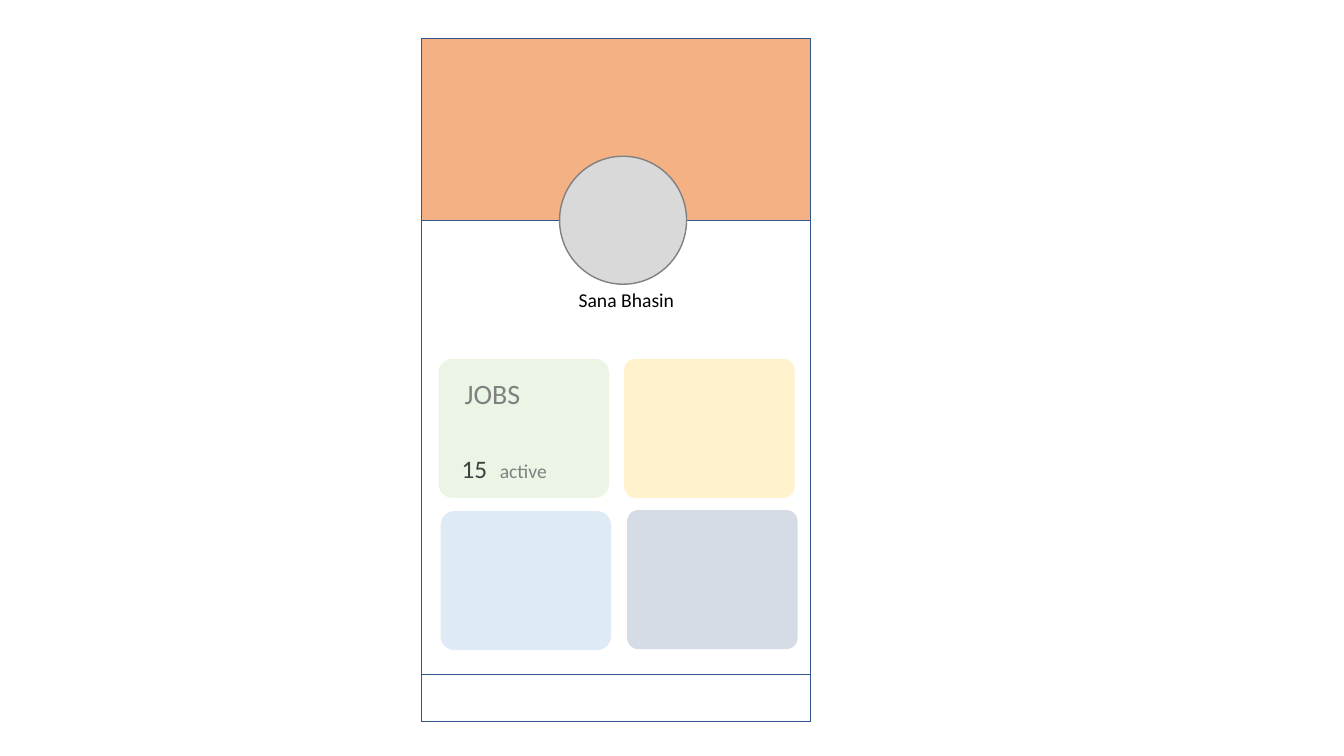
import dataclasses
import typing

import lxml.etree
import pptx
import pptx.dml.color
import pptx.enum.shapes
import pptx.enum.text
import pptx.oxml.ns
import pptx.util

Inches = pptx.util.Inches
Kind = pptx.enum.shapes.MSO_SHAPE


@dataclasses.dataclass(frozen=True)
class Theme:
    font: str = "Calibri"
    edge: str = "325491"
    banner: str = "F4B183"
    photo: str = "D9D9D9"
    gray: str = "808080"
    black: str = "000000"
    dark: str = "404040"
    green: str = "E2F0D9"
    yellow: str = "FFF2CC"
    blue: str = "DEEBF7"
    slate: str = "D6DCE5"
    small: int = 14
    count: int = 18
    title: int = 20
    stroke: int = 1


class Box(typing.NamedTuple):
    left: float
    top: float
    width: float
    height: float


class Panel(typing.NamedTuple):
    box: Box
    kind: Kind = Kind.RECTANGLE
    fill: str | None = None
    line: str | None = None
    round: float | None = None
    alpha: int = 100


class Word(typing.NamedTuple):
    text: str
    size: int
    color: str


class Label(typing.NamedTuple):
    box: Box
    words: list[Word]


def color(value: str) -> pptx.dml.color.RGBColor:
    return pptx.dml.color.RGBColor.from_string(value)


def place(box: Box) -> list[int]:
    return [Inches(side) for side in box]


def draw(slide, panel: Panel) -> None:
    shape = slide.shapes.add_shape(panel.kind, *place(panel.box))
    shape.shadow.inherit = False
    if panel.round is not None:
        shape.adjustments[0] = panel.round
    if panel.fill:
        shape.fill.solid()
        shape.fill.fore_color.rgb = color(panel.fill)
    else:
        shape.fill.background()
    if panel.alpha < 100:
        tint = shape.element.spPr.find(".//" + pptx.oxml.ns.qn("a:srgbClr"))
        alpha = lxml.etree.SubElement(tint, pptx.oxml.ns.qn("a:alpha"))
        alpha.set("val", str(panel.alpha * 1000))
    if panel.line:
        shape.line.color.rgb = color(panel.line)
        shape.line.width = pptx.util.Pt(theme.stroke)
    else:
        shape.line.fill.background()


def write(slide, label: Label) -> None:
    frame = slide.shapes.add_textbox(*place(label.box)).text_frame
    frame.word_wrap = False
    frame.auto_size = pptx.enum.text.MSO_AUTO_SIZE.SHAPE_TO_FIT_TEXT
    for word in label.words:
        run = frame.paragraphs[0].add_run()
        run.text = word.text
        run.font.name = theme.font
        run.font.size = pptx.util.Pt(word.size)
        run.font.color.rgb = color(word.color)


def card(left: float, top: float, fill: str, bend: float, alpha: int = 100) -> Panel:
    box = Box(left, top, 1.69, 1.38)
    return Panel(box, Kind.ROUNDED_RECTANGLE, fill, round=bend, alpha=alpha)


theme = Theme()
phone = Box(4.18, 0.38, 3.86, 6.78)
foot = 0.47
base = phone.top + phone.height - foot
soft, tight = 0.1, 0.08

panels = [
    Panel(phone, line=theme.edge),
    Panel(phone._replace(height=1.81), fill=theme.banner, line=theme.edge),
    Panel(Box(5.55, 1.55, 1.26, 1.27), Kind.OVAL, theme.photo, theme.gray),
    card(4.35, 3.56, theme.green, soft, alpha=68),
    Panel(phone._replace(top=base, height=foot), line=theme.edge),
    card(6.19, 3.56, theme.yellow, tight),
    card(4.37, 5.07, theme.blue, soft),
    card(6.22, 5.06, theme.slate, tight),
]
labels = [
    Label(Box(5.64, 2.81, 1.16, 0.34), [Word("Sana Bhasin", theme.small, theme.black)]),
    Label(Box(4.51, 3.69, 0.76, 0.44), [Word("JOBS", theme.title, theme.gray)]),
    Label(
        Box(4.48, 4.45, 1.05, 0.4),
        [
            Word("15\u2002", theme.count, theme.dark),
            Word("active", theme.small, theme.gray),
        ],
    ),
]

deck = pptx.Presentation()
deck.slide_width = Inches(13.33)
deck.slide_height = Inches(7.5)
slide = deck.slides.add_slide(deck.slide_layouts[6])
for panel in panels:
    draw(slide, panel)
for label in labels:
    write(slide, label)
deck.save("out.pptx")
